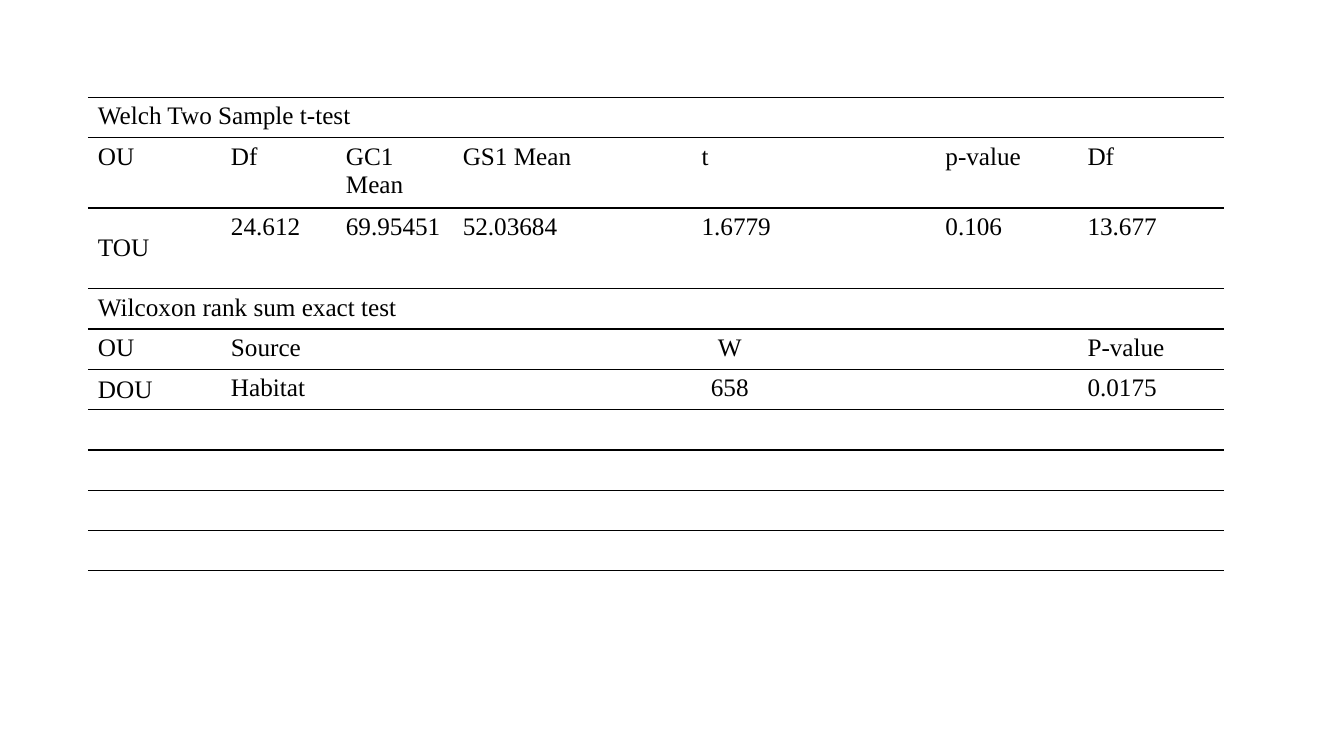
from lxml import etree
from pptx import Presentation
from pptx.dml.color import RGBColor
from pptx.enum import text
from pptx.oxml.ns import qn
from pptx.util import Pt

BLACK = RGBColor(0, 0, 0)
FONT = "Times New Roman"
WIDTHS = [95, 82.1, 33.1, 50.4, 170.6, 174.2, 101.5, 104.4]
ROW = 28.8
TALL = 50.2  # header row, whose third heading wraps
HEADS = 1
TOU = 2  # first of the two rows that share the TOU label

# Each row lists (text, columns spanned)
WELCH = [
    [("Welch Two Sample t-test", 8)],
    [("OU", 1), ("Df", 1), ("GC1 Mean", 2), ("GS1 Mean", 1), ("t", 1),
     ("p-value", 1), ("Df", 1)],
    [("TOU", 1), ("24.612", 1), ("69.95451", 2), ("52.03684", 1),
     ("1.6779", 1), ("0.106", 1), ("13.677", 1)],
    [("", 1), ("", 1), ("", 2), ("", 1), ("", 1), ("", 1), ("", 1)],
]
WILCOX = [
    [("Wilcoxon rank sum exact test", 8)],
    [("OU", 1), ("Source", 2), ("W", 4), ("P-value", 1)],
    [("DOU", 1), ("Habitat", 2), ("658", 4), ("0.0175", 1)],
]
SPARE = [
    [("", 1), ("", 2), ("", 1), ("", 3), ("", 1)],
    [("", 8)],
    [("", 1), ("", 2), ("", 4), ("", 1)],
    [("", 1), ("", 2), ("", 4), ("", 1)],
]
ROWS = WELCH + WILCOX + SPARE


def rule(cell, sides):
    """Draw thin black borders on the given sides and clear the others."""
    props = cell._tc.get_or_add_tcPr()
    for spot, side in enumerate("LRTB"):
        line = etree.Element(qn("a:ln" + side), w=str(Pt(1)))
        if side in sides:
            fill = etree.SubElement(line, qn("a:solidFill"))
            etree.SubElement(fill, qn("a:srgbClr"), val=str(BLACK))
        else:
            etree.SubElement(line, qn("a:noFill"))
        props.insert(spot, line)


def write(cell, words, span):
    cell.text = words
    para = cell.text_frame.paragraphs[0]
    para.font.name = FONT
    para.font.size = Pt(18)
    para.font.color.rgb = BLACK
    para.font.bold = False
    if span == 4:
        para.alignment = text.PP_ALIGN.CENTER
    if words in ("TOU", "DOU"):
        cell.vertical_anchor = text.MSO_ANCHOR.MIDDLE


def tests(slide, left, top):
    """Place the table of both test results with its corner at left, top."""
    highs = [TALL if r == HEADS else ROW for r in range(len(ROWS))]
    frame = slide.shapes.add_table(len(ROWS), len(WIDTHS), Pt(left), Pt(top),
                                   Pt(sum(WIDTHS)), Pt(sum(highs)))
    table = frame.table
    table.first_row = table.horz_banding = False
    for col, width in zip(table.columns, WIDTHS):
        col.width = Pt(width)
    for row, high in zip(table.rows, highs):
        row.height = Pt(high)

    for r, row in enumerate(ROWS):
        sides = {TOU: "T", TOU + 1: "B"}.get(r, "TB")
        for c in range(len(WIDTHS)):
            cell = table.cell(r, c)
            cell.fill.background()
            rule(cell, sides)
        c = 0
        for words, span in row:
            write(table.cell(r, c), words, span)
            if span > 1:
                table.cell(r, c).merge(table.cell(r, c + span - 1))
            c += span
    table.cell(TOU, 0).merge(table.cell(TOU + 1, 0))


def main():
    deck = Presentation()
    deck.slide_width, deck.slide_height = Pt(960), Pt(540)
    slide = deck.slides.add_slide(deck.slide_layouts[6])
    tests(slide, 62.8, 69.6)
    deck.save("out.pptx")


if __name__ == "__main__":
    main()
